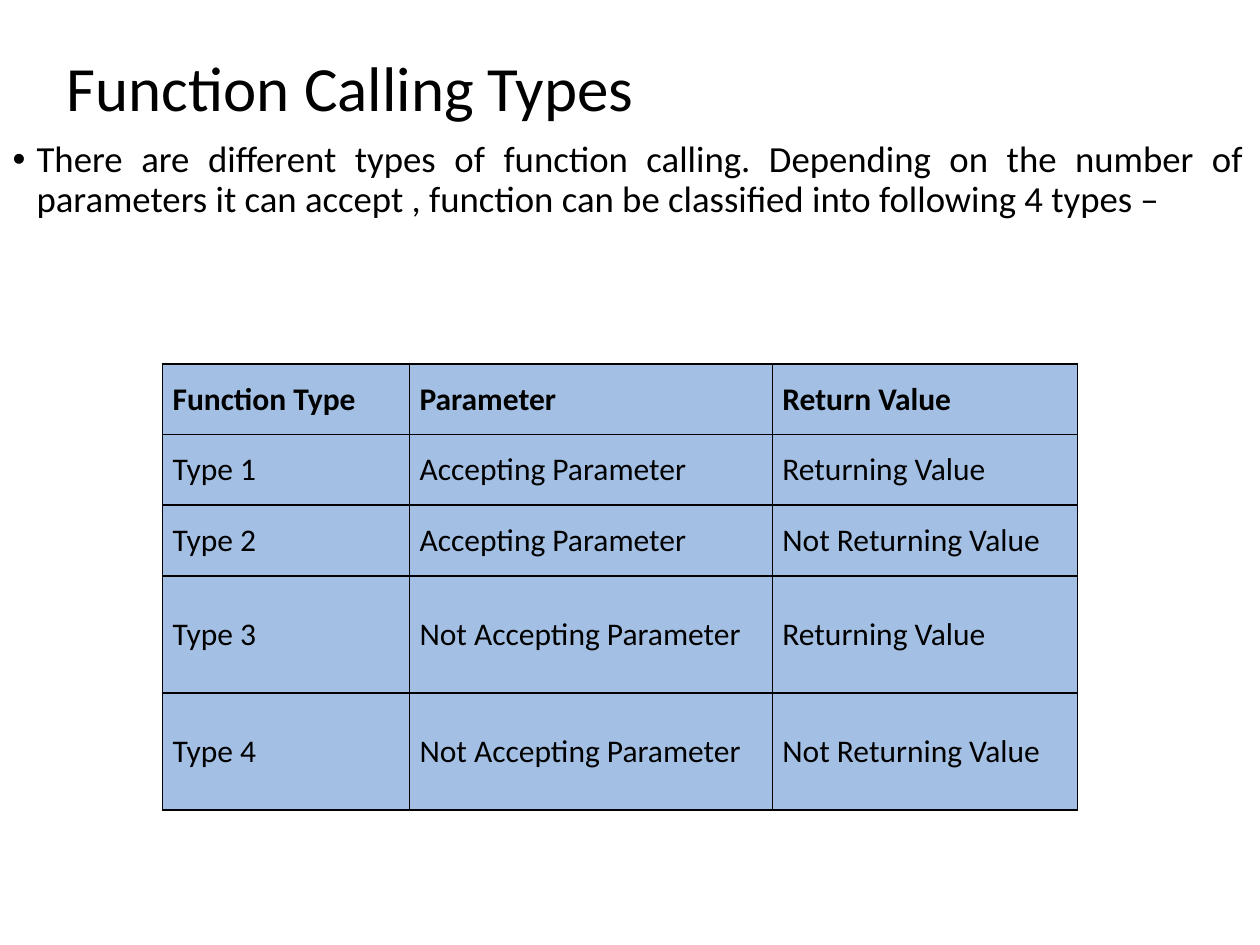
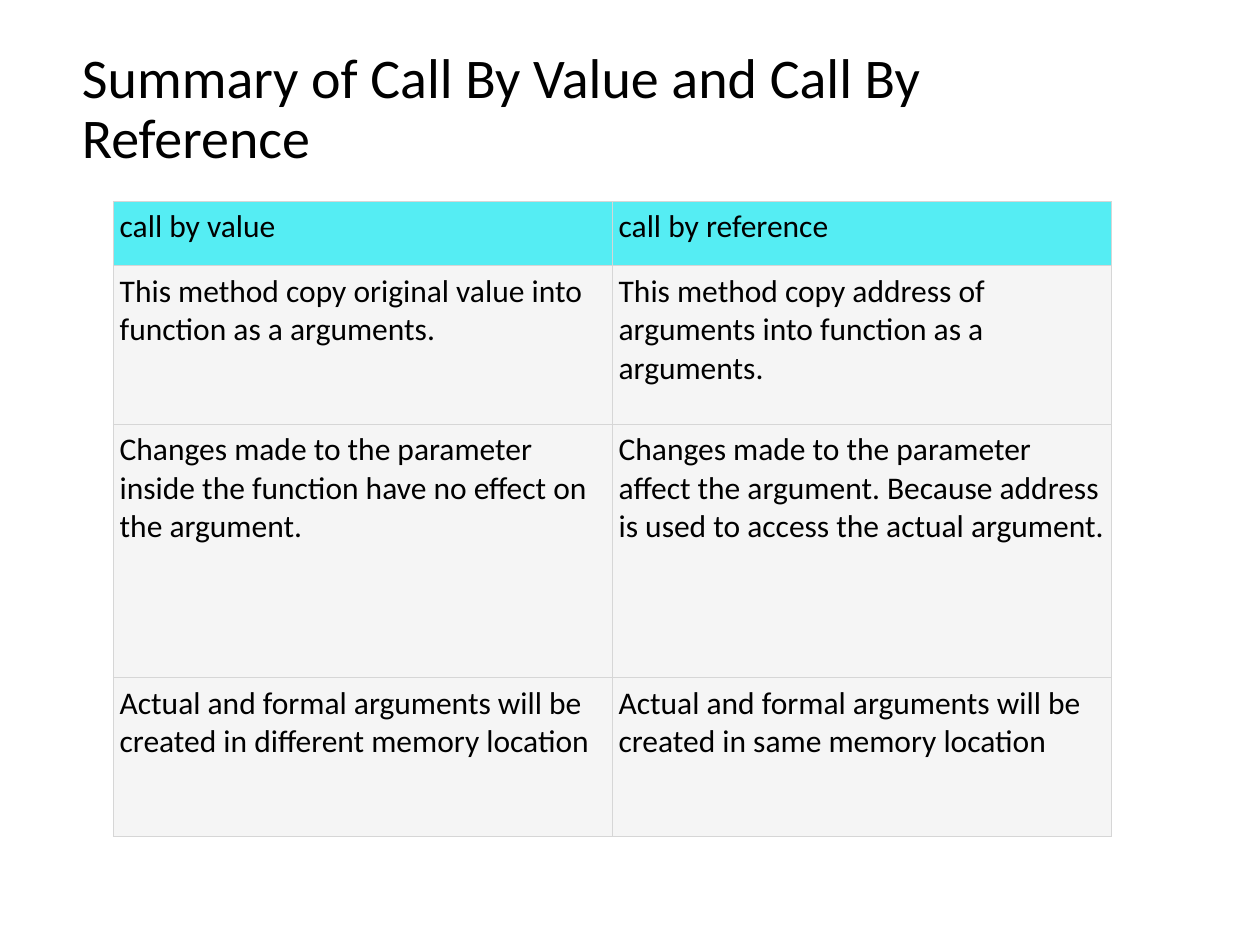
from lxml import etree
from pptx import Presentation
from pptx.dml.color import RGBColor
from pptx.enum.text import MSO_ANCHOR, MSO_AUTO_SIZE, PP_ALIGN
from pptx.oxml.ns import qn
from pptx.util import Inches, Pt

TOP, MIDDLE = MSO_ANCHOR.TOP, MSO_ANCHOR.MIDDLE
LEFT, JUSTIFY = PP_ALIGN.LEFT, PP_ALIGN.JUSTIFY
NO_FIT = MSO_AUTO_SIZE.NONE

BLACK = RGBColor(0x00, 0x00, 0x00)
WHITE = RGBColor(0xFF, 0xFF, 0xFF)
BLUE = RGBColor(0xA3, 0xC0, 0xE4)
CYAN = RGBColor(0x55, 0xED, 0xF3)
PALE_GRAY = RGBColor(0xF5, 0xF5, 0xF5)
LINE_GRAY = RGBColor(0xD6, 0xD6, 0xD6)

TITLE_AND_CONTENT, TITLE_ONLY = 1, 5

FUNCTION_TYPES = [
    ["Function Type", "Parameter", "Return Value"],
    ["Type 1", "Accepting Parameter", "Returning Value"],
    ["Type 2", "Accepting Parameter", "Not Returning Value"],
    ["Type 3", "Not Accepting Parameter", "Returning Value"],
    ["Type 4", "Not Accepting Parameter", "Not Returning Value"],
]

CALL_COMPARISON = [
    ["call by value", "call by reference"],
    ["This method copy original value into function as a arguments.",
     "This method copy address of arguments into function as a arguments."],
    ["Changes made to the parameter inside the function have no effect on the argument.",
     "Changes made to the parameter affect the argument. "
     "Because address is used to access the actual argument."],
    ["Actual and formal arguments will be created in different memory location",
     "Actual and formal arguments will be created in same memory location"],
]


class Lesson:
    font = "Calibri"
    line_spacing = 0.9
    cell_size = 18

    def __init__(self):
        self.deck = Presentation()
        self.deck.slide_width = Inches(10)
        self.deck.slide_height = Inches(7.5)
        self.page = None

    def add_page(self, layout):
        self.page = self.deck.slides.add_slide(self.deck.slide_layouts[layout])
        background = self.page.background.fill
        background.solid()
        background.fore_color.rgb = WHITE

    def add_text(self, para, text, size, bold=False):
        span = para.add_run()
        span.text = text
        span.font.name = self.font
        span.font.size = Pt(size)
        span.font.bold = bold
        span.font.color.rgb = BLACK

    def fill_placeholder(self, box, place, text, size, anchor, align):
        box.left, box.top, box.width, box.height = map(Inches, place)
        frame = box.text_frame
        frame.auto_size = NO_FIT
        frame.word_wrap = True
        frame.vertical_anchor = anchor
        para = frame.paragraphs[0]
        para.alignment = align
        para.line_spacing = self.line_spacing
        self.add_text(para, text, size)
        return para

    def title(self, text, left, top, size):
        place = (left, top, 8.62, 1.45)
        self.fill_placeholder(self.page.shapes.title, place, text, size, MIDDLE, LEFT)

    def bullet(self, text, place, size):
        para = self.fill_placeholder(
            self.page.placeholders[1], place, text, size, TOP, JUSTIFY)
        para.space_before = Pt(7.5)
        properties = para._p.get_or_add_pPr()
        properties.set("marL", str(Inches(0.19)))
        properties.set("indent", str(Inches(-0.19)))
        etree.SubElement(properties, qn("a:buFont"), typeface="Arial")
        etree.SubElement(properties, qn("a:buChar"), char="•")

    def border(self, cell, color, width):
        properties = cell._tc.get_or_add_tcPr()
        for side in ("lnL", "lnR", "lnT", "lnB"):
            line = etree.SubElement(properties, qn(f"a:{side}"), w=str(Pt(width)))
            fill = etree.SubElement(line, qn("a:solidFill"))
            etree.SubElement(fill, qn("a:srgbClr"), val=str(color))

    def table(self, rows, left, top, widths, heights, header_fill, body_fill,
              line_color, line_width, inset, anchor=TOP, bold_header=False):
        frame = self.page.shapes.add_table(
            len(rows), len(widths), Inches(left), Inches(top),
            Inches(sum(widths)), Inches(sum(heights)))
        grid = frame.table
        for column, width in zip(grid.columns, widths):
            column.width = Inches(width)
        for row, height in zip(grid.rows, heights):
            row.height = Inches(height)
        for row_index, texts in enumerate(rows):
            is_header = row_index == 0
            for column_index, text in enumerate(texts):
                cell = grid.cell(row_index, column_index)
                cell.margin_left = cell.margin_right = Inches(inset)
                cell.margin_top = cell.margin_bottom = Inches(inset)
                cell.vertical_anchor = anchor
                self.border(cell, line_color, line_width)
                cell.fill.solid()
                cell.fill.fore_color.rgb = header_fill if is_header else body_fill
                self.add_text(cell.text_frame.paragraphs[0], text, self.cell_size,
                              bold_header and is_header)


def main():
    lesson = Lesson()

    lesson.add_page(TITLE_AND_CONTENT)
    lesson.title("Function Calling Types", 0.43, 0, 36)
    lesson.bullet(
        "There are different types of function calling. Depending on the number of "
        "parameters it can accept , function can be classified into following 4 types –",
        (0, 1.07, 9.97, 6.18), 21)
    lesson.table(
        FUNCTION_TYPES, 1.29, 2.89, [1.96, 2.88, 2.42], [0.56] * 3 + [0.93] * 2,
        BLUE, BLUE, BLACK, 1, 0.08, MIDDLE, bold_header=True)

    lesson.add_page(TITLE_ONLY)
    lesson.title("Summary of Call By Value and Call By Reference", 0.55, 0.15, 32)
    lesson.table(
        CALL_COMPARISON, 0.9, 1.6, [3.96] * 2, [0.51, 1.26, 2.01, 1.26],
        CYAN, PALE_GRAY, LINE_GRAY, 0.75, 0.05)

    lesson.deck.save("out.pptx")


if __name__ == "__main__":
    main()
